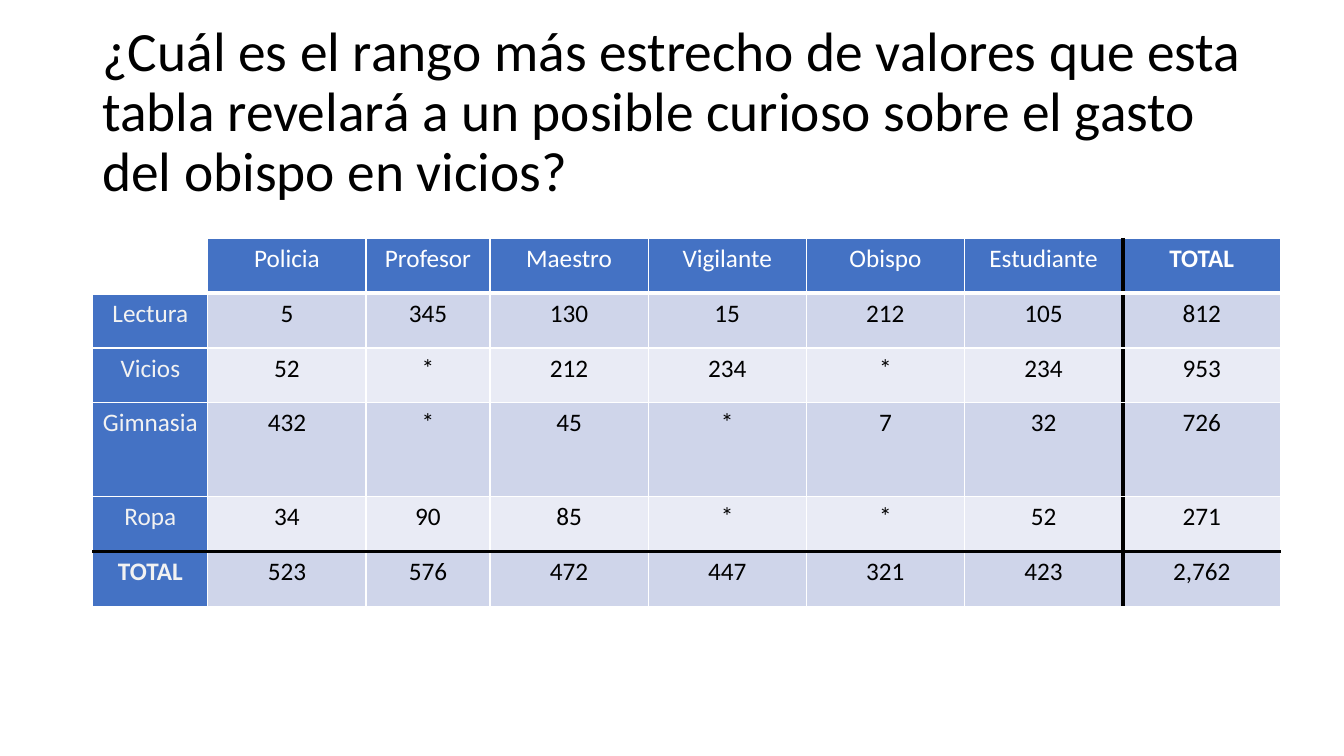
from dataclasses import dataclass

from lxml.etree import SubElement as Sub
from pptx import Presentation
from pptx.dml.color import RGBColor as Rgb
from pptx.enum.text import MSO_ANCHOR as Anchor, PP_ALIGN as Align
from pptx.oxml.ns import qn
from pptx.util import Pt


@dataclass
class Theme:
    """Colours, font and type sizes."""
    font: str = "Calibri"
    head: float = 39.6
    body: float = 18
    black: str = "000000"
    white: str = "FFFFFF"
    pale: str = "F2F2F2"
    blue: str = "4472C4"
    odd: str = "CFD5EA"
    even: str = "E9EBF5"


theme = Theme()


def write(frame, text, size=theme.body, color=theme.black, bold=False,
          align=Align.CENTER, space=None):
    """Put one formatted paragraph in a text frame."""
    para = frame.paragraphs[0]
    para.alignment = align
    para.line_spacing = space
    run = para.add_run()
    run.text = text
    font = run.font
    font.name, font.size, font.bold = theme.font, Pt(size), bold
    font.color.rgb = Rgb.from_string(color)


def rule(cell, side, color, width):
    """Draw one border of a cell; side is L, R, T or B."""
    props = cell._tc.get_or_add_tcPr()
    line = Sub(props, qn("a:ln" + side), w=str(Pt(width)))
    Sub(Sub(line, qn("a:solidFill")), qn("a:srgbClr"), val=color)


deck = Presentation()
deck.slide_width, deck.slide_height = Pt(960), Pt(540)
slide = deck.slides.add_slide(deck.slide_layouts[6])

# Title
title = slide.shapes.add_textbox(Pt(66), Pt(28.75), Pt(828), Pt(104.4)).text_frame
title.word_wrap = True
title.vertical_anchor = Anchor.MIDDLE
write(title, "¿Cuál es el rango más estrecho de valores que esta tabla revelará "
      "a un posible curioso sobre el gasto del obispo en vicios?",
      size=theme.head, align=Align.LEFT, space=0.9)

# Spending table
data = [
    ["", "Policia", "Profesor", "Maestro", "Vigilante", "Obispo", "Estudiante", "TOTAL"],
    ["Lectura", "5", "345", "130", "15", "212", "105", "812"],
    ["Vicios", "52", "*", "212", "234", "*", "234", "953"],
    ["Gimnasia", "432", "*", "45", "*", "7", "32", "726"],
    ["Ropa", "34", "90", "85", "*", "*", "52", "271"],
    ["TOTAL", "523", "576", "472", "447", "321", "423", "2,762"],
]
wide = [82.2, 113, 88.5] + [113] * 5
tall = [39.1, 39.1, 39.1, 67.2, 39.1, 39.1]
last_row, last_col = len(tall) - 1, len(wide) - 1

table = slide.shapes.add_table(len(tall), len(wide), Pt(66.3), Pt(170.4),
                               Pt(sum(wide)), Pt(sum(tall))).table
table.first_row = table.horz_banding = False
for col, width in zip(table.columns, wide):
    col.width = Pt(width)
for row, height in zip(table.rows, tall):
    row.height = Pt(height)

# Rules at each grid edge: white hairlines, heavier at the head and the totals
thin = (theme.white, 1)
heavy = (theme.black, 3)
across = {1: (theme.white, 3), last_row: heavy}
down = {last_col: heavy}

for r, line in enumerate(data):
    for c, text in enumerate(line):
        cell = table.cell(r, c)
        rule(cell, "L", *down.get(c, thin))
        rule(cell, "R", *down.get(c + 1, thin))
        rule(cell, "T", *across.get(r, thin))
        rule(cell, "B", *across.get(r + 1, thin))

        fill, ink = (theme.odd if r % 2 else theme.even), theme.black
        if r == 0:
            fill, ink = theme.blue, theme.white
        elif c == 0:
            fill, ink = theme.blue, theme.pale
        if not text:
            fill = theme.white
        cell.fill.solid()
        cell.fill.fore_color.rgb = Rgb.from_string(fill)
        if text:
            write(cell.text_frame, text, color=ink, bold=text == "TOTAL")

deck.save("out.pptx")
